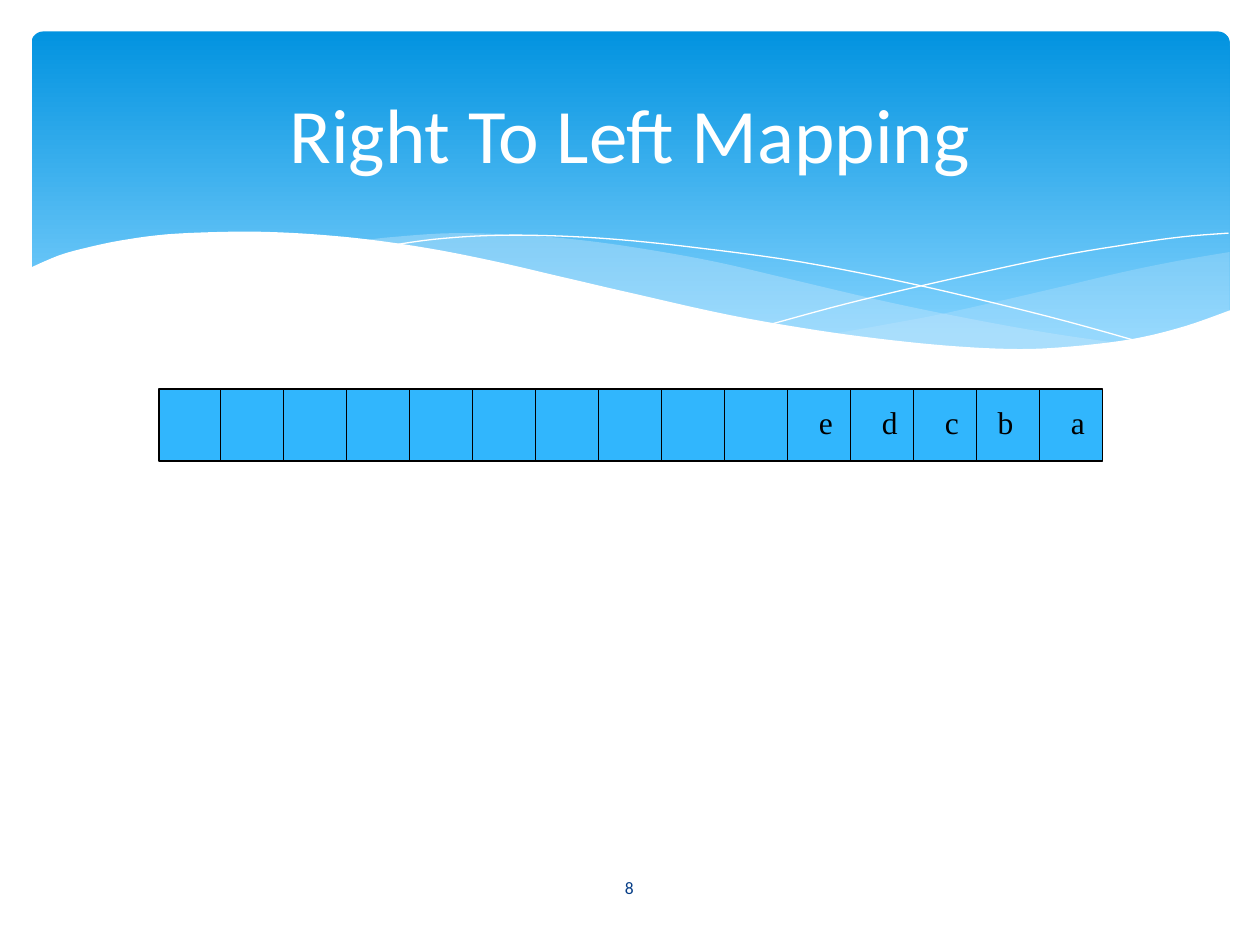
from lxml import etree
from pptx import Presentation
from pptx.dml.color import RGBColor
from pptx.enum import shapes, text
from pptx.oxml.ns import qn
from pptx.util import Inches, Pt

WHITE = RGBColor(0xFF, 0xFF, 0xFF)
BLACK = RGBColor(0x00, 0x00, 0x00)
NAVY = RGBColor(0x07, 0x3E, 0x87)
CELL_BLUE = RGBColor(0x31, 0xB6, 0xFD)
BANNER_TOP = RGBColor(0x02, 0x93, 0xE0)
BANNER_BOTTOM = RGBColor(0x83, 0xD3, 0xFE)
WAVE_BLUE = RGBColor(0xC6, 0xE7, 0xFC)

RIGHT_WAVE_TOP = [(9.76, 2), (9.35, 2.07), (8.91, 2.16), (8.32, 2.3),
                  (7.53, 2.48), (7.06, 2.57), (6.61, 2.65)]
RIGHT_WAVE_BOTTOM = [(6.61, 2.65), (7.05, 2.71), (7.57, 2.76), (8.03, 2.78),
                     (8.54, 2.76), (8.97, 2.7), (9.42, 2.59), (9.76, 2.47)]
MIDDLE_WAVE_TOP = [(8.93, 2.73), (8.37, 2.65), (7.75, 2.54), (7.06, 2.4),
                   (6.29, 2.22), (5.69, 2.08), (5.14, 1.98), (4.65, 1.91),
                   (4.2, 1.87), (3.61, 1.85), (3.13, 1.88), (2.86, 1.91)]
MIDDLE_WAVE_BOTTOM = [(2.86, 1.91), (3.42, 1.99), (4.04, 2.11), (4.91, 2.32),
                      (5.66, 2.48), (6.34, 2.61), (6.95, 2.7), (7.48, 2.76),
                      (8.07, 2.78), (8.57, 2.77), (8.93, 2.73)]
FALLING_LINE = [(3.09, 1.95), (3.44, 1.9), (3.87, 1.87), (4.33, 1.87),
                (4.89, 1.9), (5.56, 1.97), (6.36, 2.08), (7.27, 2.26),
                (8.31, 2.51), (9.07, 2.72)]
RISING_LINE = [(6.13, 2.57), (6.72, 2.41), (7.48, 2.23), (8.36, 2.04),
               (8.95, 1.94), (9.38, 1.88), (9.75, 1.85)]
WHITE_WAVE = [(9.77, 2.46), (9.4, 2.59), (8.99, 2.69), (8.5, 2.75),
              (8.09, 2.77), (7.61, 2.75), (7.08, 2.7), (6.48, 2.62),
              (5.79, 2.5), (5.03, 2.33), (4.47, 2.2), (3.91, 2.07),
              (3.4, 1.97), (2.92, 1.9), (2.5, 1.86), (2.11, 1.84),
              (1.77, 1.84), (1.32, 1.86), (0.95, 1.91), (0.67, 1.97),
              (0.46, 2.03), (0.23, 2.13)]

CELL_COUNT = 15
CELL_WIDTH = 0.5
ROW_LEFT = 1.25
LETTERS = [("a", 8.4), ("b", 7.82), ("c", 7.4), ("d", 6.9), ("e", 6.4)]


def smooth(knots, steps=5):
    padded = [knots[0], *knots, knots[-1]]
    points = [knots[0]]
    for a, b, c, d in zip(padded, padded[1:], padded[2:], padded[3:]):
        for i in range(1, steps + 1):
            t = i / steps
            points.append(tuple(
                q + t / 2 * (r - p + t * (2 * p - 5 * q + 4 * r - s
                                          + t * (3 * q - p - 3 * r + s)))
                for p, q, r, s in zip(a, b, c, d)))
    return points


def add_outline(s, points, close):
    emu = [(Inches(x), Inches(y)) for x, y in points]
    builder = s.shapes.build_freeform(*emu[0])
    builder.add_line_segments(emu[1:], close=close)
    sp = builder.convert_to_shape()
    sp.shadow.inherit = False
    return sp


def add_wave(s, points, color, opacity=100):
    sp = add_outline(s, points, True)
    sp.line.fill.background()
    sp.fill.solid()
    sp.fill.fore_color.rgb = color
    if opacity < 100:
        clr = sp.fill._xPr.find(qn("a:solidFill"))[0]
        etree.SubElement(clr, qn("a:alpha"), val=str(opacity * 1000))


def add_curve(s, knots):
    sp = add_outline(s, smooth(knots), False)
    sp.fill.background()
    sp.line.color.rgb = WHITE
    sp.line.width = Pt(0)


def add_banner(s):
    sp = s.shapes.add_shape(shapes.MSO_SHAPE.ROUNDED_RECTANGLE, Inches(0.25),
                            Inches(0.25), Inches(9.51), Inches(2.7))
    sp.adjustments[0] = 0.034
    sp.shadow.inherit = False
    sp.line.fill.background()
    sp.fill.gradient()
    sp.fill.gradient_angle = 270
    stops = [(0, BANNER_TOP), (0.9, BANNER_BOTTOM)]
    for stop, (position, color) in zip(sp.fill.gradient_stops, stops):
        stop.position = position
        stop.color.rgb = color


def add_text(s, content, left, top, width, height, size, font, color):
    sp = s.shapes.add_textbox(Inches(left), Inches(top), Inches(width), Inches(height))
    tf = sp.text_frame
    tf.text = content
    r = tf.paragraphs[0].runs[0]
    r.font.size = Pt(size)
    r.font.name = font
    r.font.color.rgb = color
    return tf


def add_centered_text(s, *args):
    tf = add_text(s, *args)
    tf.word_wrap = True
    tf.vertical_anchor = text.MSO_ANCHOR.MIDDLE
    tf.paragraphs[0].alignment = text.PP_ALIGN.CENTER


def add_letter(s, letter, left):
    tf = add_text(s, letter, left, 3.15, 0.36, 0.5, 18, "Times New Roman", BLACK)
    tf.word_wrap = False
    tf.auto_size = text.MSO_AUTO_SIZE.SHAPE_TO_FIT_TEXT


def add_row(s):
    sp = s.shapes.add_shape(shapes.MSO_SHAPE.RECTANGLE, Inches(1.26),
                            Inches(3.09), Inches(7.49), Inches(0.57))
    sp.shadow.inherit = False
    sp.fill.solid()
    sp.fill.fore_color.rgb = CELL_BLUE
    sp.line.color.rgb = BLACK
    sp.line.width = Pt(1)


def add_divider(s, x):
    line = s.shapes.add_connector(shapes.MSO_CONNECTOR.STRAIGHT, Inches(x),
                                  Inches(3.08), Inches(x), Inches(3.67))
    line.line.color.rgb = BLACK
    line.line.width = Pt(1)
    etree.SubElement(line._element.spPr, qn("a:effectLst"))


def main():
    prs = Presentation()
    prs.slide_width = Inches(10)
    prs.slide_height = Inches(7.5)
    s = prs.slides.add_slide(prs.slide_layouts[6])

    add_banner(s)
    add_wave(s, smooth(RIGHT_WAVE_TOP) + smooth(RIGHT_WAVE_BOTTOM), WAVE_BLUE, 29)
    add_wave(s, smooth(MIDDLE_WAVE_TOP) + smooth(MIDDLE_WAVE_BOTTOM), WAVE_BLUE, 40)
    add_curve(s, FALLING_LINE)
    add_curve(s, RISING_LINE)
    add_wave(s, smooth(WHITE_WAVE) + [(0.23, 3.29), (9.77, 3.29)], WHITE)
    add_centered_text(s, "Right To Left Mapping", 0.5, 0.37, 9, 1.37, 44, "Calibri", WHITE)

    add_row(s)
    for i in range(1, CELL_COUNT):
        add_divider(s, ROW_LEFT + i * CELL_WIDTH)
    for letter, left in LETTERS:
        add_letter(s, letter, left)
    add_centered_text(s, "8", 4.36, 6.84, 1.27, 0.4, 10, "Calibri", NAVY)

    prs.save("out.pptx")


if __name__ == "__main__":
    main()
